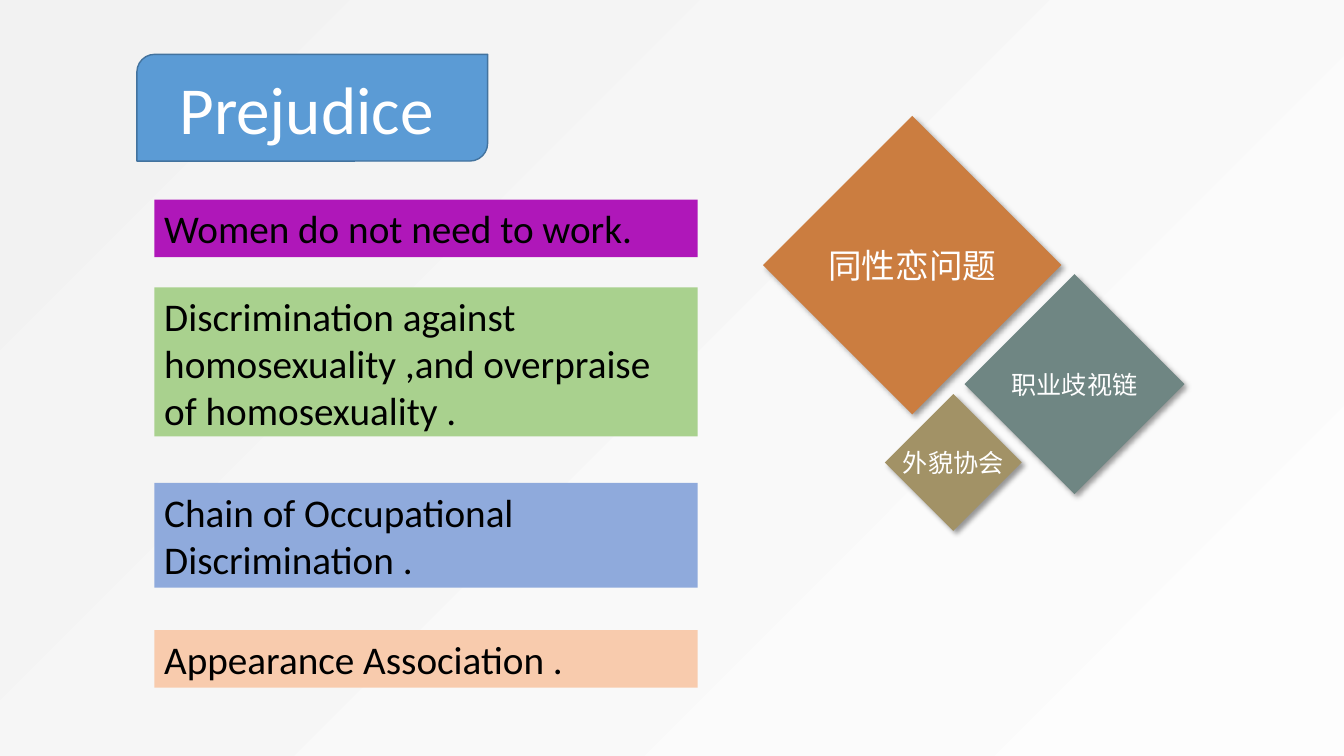
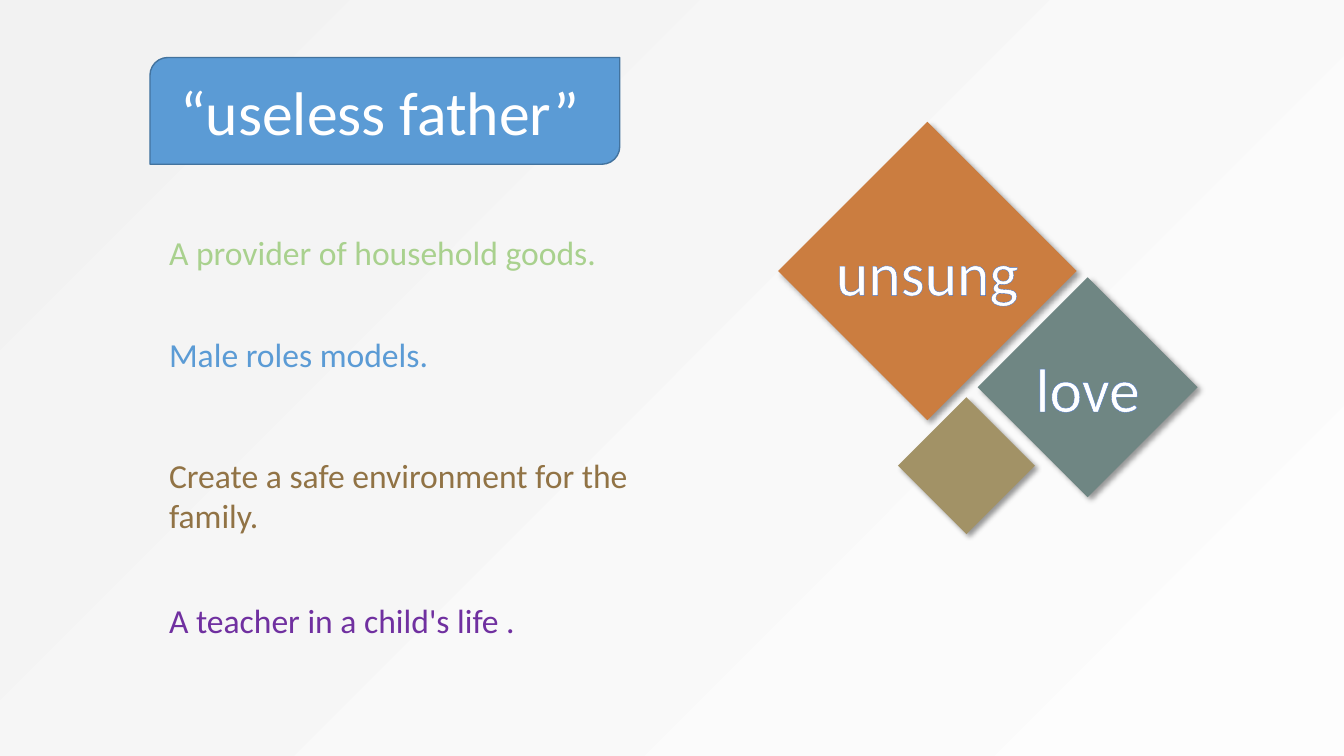
from lxml.etree import SubElement
from pptx import Presentation
from pptx.dml.color import RGBColor
from pptx.enum.shapes import MSO_SHAPE as Shape
from pptx.enum.text import MSO_ANCHOR as Anchor, PP_ALIGN as Align
from pptx.oxml import parse_xml
from pptx.oxml.ns import nsdecls, qn
from pptx.util import Cm, Pt

FONT = "Calibri"
WHITE, BLACK = "FFFFFF", "000000"
BACKGROUND = ("FDFDFD", "F2F2F2")
TITLE_FILL, TITLE_LINE, TITLE_HEIGHT = "5B9BD5", "43739E", 2.69
LABEL_OUTLINE = "4472C4"

# Size and fill of the three diamonds, largest first
DIAMONDS = [(7.52, "CB7D40"), (5.54, "6F8683"), (3.45, "A29266")]

# Title: text, size, left, top, width, indent
# Statements: text, top, height, colour
# Labels: text, size, left, top of the diamond
SLIDES = [
    {
        "title": ("Prejudice", 48, 3.45, 1.37, 8.84, 0.94),
        "statements": [
            ("Women do not need to work.", 5.03, 1.45, "AF17B9"),
            ("Discrimination against homosexuality ,and overpraise of homosexuality .",
             7.24, 3.76, "A9D18E"),
            ("Chain of Occupational Discrimination .", 12.17, 2.64, "8FAADC"),
            ("Appearance Association .", 15.88, 1.45, "F8CBAD"),
        ],
        "statement_style": {"left": 3.89, "width": 13.69, "size": 28, "filled": True},
        "labels": [
            ("同性恋问题", 24, 19.23, 2.92),
            ("职业歧视链", 18, 24.31, 6.91),
            ("外貌协会", 18, 22.3, 9.93),
        ],
        "outlined": False,
    },
    {
        "title": ("“useless father”", 44, 3.78, 1.45, 11.84, 0.63),
        "statements": [
            ("A provider of household goods.", 5.72, 1.27, "A9D18E"),
            ("Male roles models.", 8.28, 1.27, "5B9BD5"),
            ("Create a safe environment for the family.", 11.33, 2.24, "917345"),
            ("A teacher in a child's life .", 14.99, 1.27, "7030A0"),
        ],
        "statement_style": {"left": 4.01, "width": 13.31, "size": 24, "filled": False},
        "labels": [
            ("unsung", 44, 19.61, 3.07),
            ("love", 44, 24.64, 6.99),
            ("", 18, 22.63, 10.01),
        ],
        "outlined": True,
    },
]


def rgb(hex_colour):
    return RGBColor.from_string(hex_colour)


def set_background(master):
    """Radial gradient centred on the bottom right corner, for every slide."""
    fill = master.background.fill
    fill.gradient()
    for stop, colour in zip(fill.gradient_stops, BACKGROUND):
        stop.color.rgb = rgb(colour)
    gradient = master.element.find(".//" + qn("a:gradFill"))
    gradient.remove(gradient.find(qn("a:lin")))
    gradient.append(parse_xml(
        f'<a:path {nsdecls("a")} path="circle">'
        '<a:fillToRect l="100000" t="100000"/></a:path>'))


def add_block(slide, kind, left, top, width, height, fill):
    block = slide.shapes.add_shape(kind, Cm(left), Cm(top), Cm(width), Cm(height))
    block.shadow.inherit = False
    block.fill.solid()
    block.fill.fore_color.rgb = rgb(fill)
    block.line.fill.background()
    return block


def write(shape, text, size, colour, align=Align.LEFT, anchor=Anchor.MIDDLE, wrap=False):
    frame = shape.text_frame
    frame.word_wrap = wrap
    frame.vertical_anchor = anchor
    paragraph = frame.paragraphs[0]
    paragraph.text = text
    paragraph.alignment = align
    font = paragraph.font
    font.name, font.size = FONT, Pt(size)
    font.color.rgb = rgb(colour)
    return paragraph


def add_drop_shadow(shape):
    effects = shape.element.spPr.find(qn("a:effectLst"))
    shadow = SubElement(effects, qn("a:outerShdw"), blurRad=str(Pt(4)),
                        dist=str(Pt(3)), dir="2700000", algn="tl", rotWithShape="0")
    colour = SubElement(shadow, qn("a:srgbClr"), val=BLACK)
    SubElement(colour, qn("a:alpha"), val="40000")


def outline_text(paragraph):
    for run in paragraph.runs:
        run._r.get_or_add_rPr().insert(0, parse_xml(
            f'<a:ln {nsdecls("a")} w="{Pt(0.8)}"><a:solidFill>'
            f'<a:srgbClr val="{LABEL_OUTLINE}"/></a:solidFill></a:ln>'))


def add_title(slide, text, size, left, top, width, indent):
    banner = add_block(slide, Shape.ROUND_2_DIAG_RECTANGLE, left, top, width,
                       TITLE_HEIGHT, TITLE_FILL)
    banner.line.color.rgb = rgb(TITLE_LINE)
    banner.line.width = Pt(1)
    banner.text_frame.margin_left = Cm(indent)
    write(banner, text, size, WHITE)


def add_statements(slide, statements, left, width, size, filled):
    for text, top, height, colour in statements:
        if filled:
            box = add_block(slide, Shape.RECTANGLE, left, top, width, height, colour)
        else:
            box = slide.shapes.add_textbox(Cm(left), Cm(top), Cm(width), Cm(height))
        write(box, text, size, BLACK if filled else colour, anchor=Anchor.TOP, wrap=True)


def add_diamonds(slide, labels, outlined):
    for (side, fill), (text, size, left, top) in zip(DIAMONDS, labels):
        diamond = add_block(slide, Shape.DIAMOND, left, top, side, side, fill)
        add_drop_shadow(diamond)
        if text:
            label = write(diamond, text, size, WHITE, Align.CENTER)
            if outlined:
                outline_text(label)


def main():
    deck = Presentation()
    deck.slide_width, deck.slide_height = Cm(33.87), Cm(19.05)
    set_background(deck.slide_master)
    for content in SLIDES:
        slide = deck.slides.add_slide(deck.slide_layouts[6])
        add_diamonds(slide, content["labels"], content["outlined"])
        add_title(slide, *content["title"])
        add_statements(slide, content["statements"], **content["statement_style"])
    deck.save("out.pptx")


if __name__ == "__main__":
    main()
